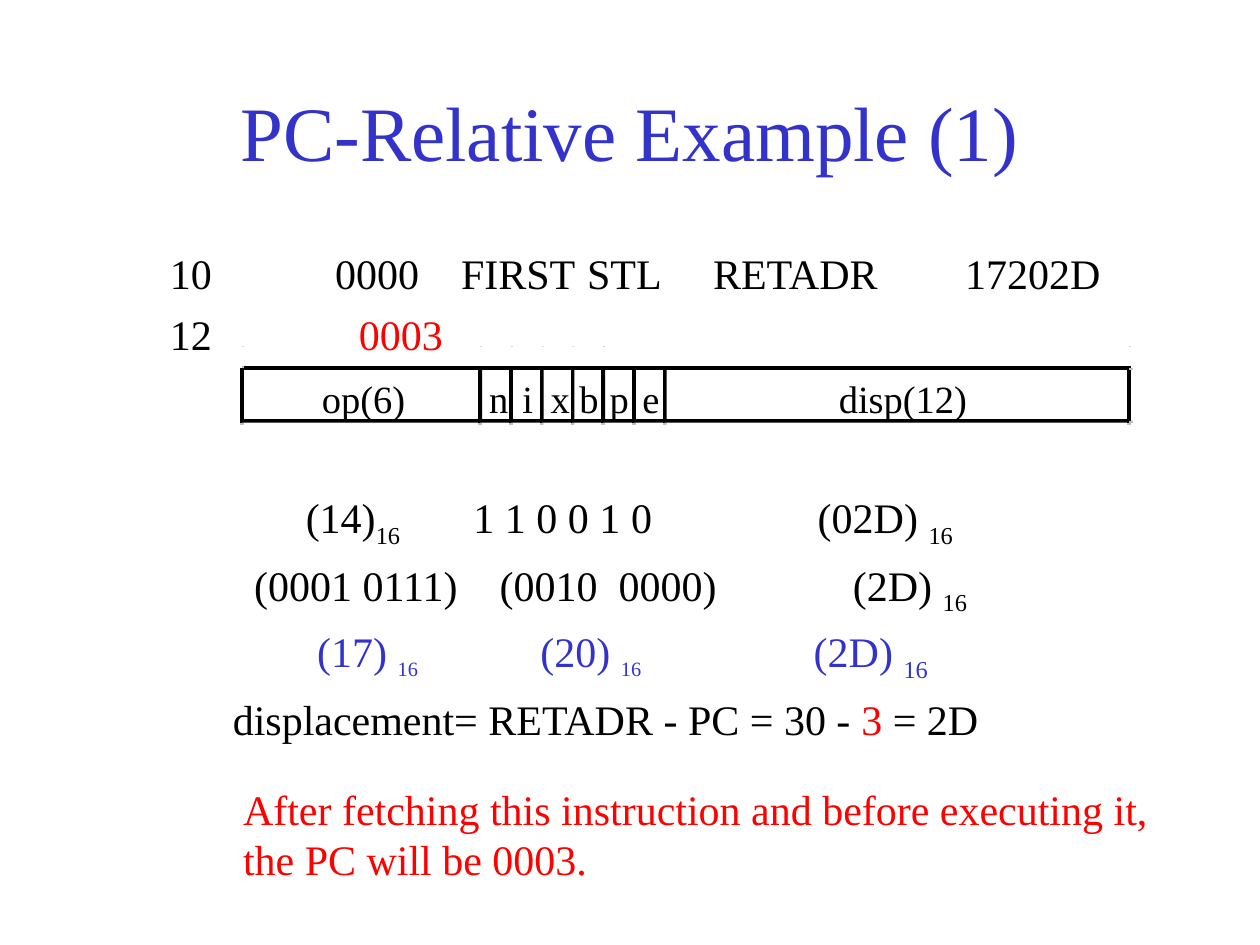
from lxml import etree
from pptx import Presentation
from pptx.dml.color import RGBColor
from pptx.enum.shapes import MSO_CONNECTOR, MSO_SHAPE
from pptx.enum.text import MSO_ANCHOR, MSO_AUTO_SIZE, PP_ALIGN
from pptx.oxml.ns import qn
from pptx.util import Cm, Pt

RECT, STRAIGHT = MSO_SHAPE.RECTANGLE, MSO_CONNECTOR.STRAIGHT
MIDDLE, TOP = MSO_ANCHOR.MIDDLE, MSO_ANCHOR.TOP
CENTER, LEFT = PP_ALIGN.CENTER, PP_ALIGN.LEFT
NO_FIT = MSO_AUTO_SIZE.NONE

FONT, LINE_FACTOR = "Times New Roman", 1.19
COLORS = {"blue": "3333CC", "black": "000000", "red": "FF0000", "gray": "C0C0C0"}

# Content
TITLE = "PC-Relative Example (1)"
# Each row: space before (pt), tab stops (cm), runs of (text, color, size, subscript)
ROWS = [
    (0, [1.27, 4.6, 7.14, 9.68, 12.22, 17.3],
     [("\t10\t0000\tFIRST\tSTL\tRETADR\t17202D", "black", 24, False)]),
    (6.2, [1.27, 5.08],
     [("\t12\t", "black", 24, False), ("0003", "red", 24, False)]),
    (80, [4.01, 7.39, 14.33],
     [("\t(14)", "black", 24, False), ("16", "black", 24, True),
      ("\t1 1 0 0 1 0\t(02D) ", "black", 24, False), ("16", "black", 24, True)]),
    (10, [2.97, 7.92, 15.04],
     [("\t(0001 0111)\t(0010  0000)\t(2D) ", "black", 24, False),
      ("16", "black", 24, True)]),
    (9.5, [4.24, 8.74, 14.25],
     [("\t(17) ", "blue", 24, False), ("16", "blue", 20, True),
      ("\t(20) ", "blue", 24, False), ("16", "blue", 20, True),
      ("\t(2D) ", "blue", 24, False), ("16", "blue", 24, True)]),
    (6, [2.54],
     [("\tdisplacement= RETADR - PC = 30 - ", "black", 24, False),
      ("3", "red", 24, False), (" = 2D", "black", 24, False)]),
]
# Field name, left and width in cm
FIELDS = [("op(6)", 6.49, 1.68), ("n", 9.86, 0.38), ("i", 10.53, 0.23),
          ("x", 11.1, 0.38), ("b", 11.68, 0.38), ("p", 12.29, 0.38),
          ("e", 12.95, 0.36), ("disp(12)", 16.91, 2.59)]
NOTE = ["After fetching this instruction and before executing it,",
        "the PC will be 0003."]

# Instruction format frame, in cm
X0, X1, BITS, BIT_STEP = 4.88, 22.76, 9.68, 0.62
Y0, Y1, STUB_Y, THICK = 7.42, 8.48, 6.98, 0.04
INNER = [BITS + i * BIT_STEP for i in range(7)]

prs = Presentation()
prs.slide_width, prs.slide_height = Cm(25.4), Cm(19.05)
# The body style has no hanging indent, so that the rows keep their own tab stops
for style in prs.slide_master.element.iter(qn("a:lvl1pPr")):
    style.attrib.pop("indent", None)
s = prs.slides.add_slide(prs.slide_layouts[1])


def rgb(name):
    return RGBColor.from_string(COLORS[name])


def place(sp, x, y, w, h):
    sp.left, sp.top, sp.width, sp.height = Cm(x), Cm(y), Cm(w), Cm(h)


def add_run(p, text, color, size, sub=False):
    r = p.add_run()
    r.text = text
    r.font.name, r.font.size = FONT, Pt(size)
    r.font.color.rgb = rgb(color)
    if sub:
        r._r.get_or_add_rPr().set("baseline", "-25000")


def set_line(p, size):
    p.line_spacing = Pt(round(size * LINE_FACTOR, 1))


def add_label(lines, x, y, w, h, color, size, inset=(0, 0)):
    tf = s.shapes.add_textbox(Cm(x), Cm(y), Cm(w), Cm(h)).text_frame
    tf.word_wrap = False
    tf.margin_left = tf.margin_right = Cm(inset[0])
    tf.margin_top = tf.margin_bottom = Cm(inset[1])
    for i, text in enumerate(lines):
        p = tf.add_paragraph() if i else tf.paragraphs[0]
        set_line(p, size)
        add_run(p, text, color, size)


def add_block(x, y, w, h, color):
    sp = s.shapes.add_shape(RECT, Cm(x), Cm(y), Cm(w), Cm(h))
    sp.shadow.inherit = False
    sp.fill.solid()
    sp.fill.fore_color.rgb = rgb(color)
    sp.line.fill.background()


def add_bar(x, y, w, h, color):
    """A filled bar with a hairline along its long side."""
    x2, y2 = (x + w, y) if w > h else (x, y + h)
    ln = s.shapes.add_connector(STRAIGHT, Cm(x), Cm(y), Cm(x2), Cm(y2))
    ln.line.color.rgb = rgb(color)
    ln.line.width = Pt(0)
    etree.SubElement(ln._element.spPr, qn("a:effectLst"))
    add_block(x, y, w, h, color)


# Title
sp = s.shapes.title
place(sp, 1.9, 1.06, 21.6, 3.18)
tf = sp.text_frame
tf.auto_size, tf.vertical_anchor = NO_FIT, MIDDLE
p = tf.paragraphs[0]
p.alignment = CENTER
set_line(p, 44)
add_run(p, TITLE, "blue", 44)

# Listing and working
sp = s.placeholders[1]
place(sp, 1.9, 4.87, 21.6, 12.07)
tf = sp.text_frame
tf.auto_size, tf.vertical_anchor = NO_FIT, TOP
for i, (before, stops, runs) in enumerate(ROWS):
    p = tf.add_paragraph() if i else tf.paragraphs[0]
    pPr = p._p.get_or_add_pPr()
    pPr.set("marL", "0")
    etree.SubElement(pPr, qn("a:buNone"))
    tabs = etree.SubElement(pPr, qn("a:tabLst"))
    for stop in stops:
        etree.SubElement(tabs, qn("a:tab"), pos=str(int(Cm(stop))), algn="l")
    p.alignment, p.space_before = LEFT, Pt(before)
    set_line(p, 24)
    for run in runs:
        add_run(p, *run)

# Gray marks above the frame and its gray underlay
for x in [X0, *INNER[:5], X1]:
    add_block(x, STUB_Y, THICK, 0.01, "gray")
add_bar(X0, Y0, X1 - X0 + THICK, THICK, "gray")

# Field names
for name, x, w in FIELDS:
    add_label([name], x, 7.56, w, 0.94, "black", 22)

# Black frame and dividers
for y in (Y0, Y1):
    add_bar(X0 + THICK, y, X1 - X0, THICK, "black")
add_bar(X0, Y0, THICK, 1.11, "black")
for x in [*INNER, X1]:
    add_bar(x, Y0 + THICK, THICK, 1.06, "black")

# Gray ends of the frame lines
for x in [X0, *INNER, X1]:
    add_bar(x, Y1 + THICK, THICK, THICK, "gray")
for y in (Y0, Y1):
    add_bar(X1 + THICK, y, THICK, THICK, "gray")

# Note
add_label(NOTE, 4.65, 15.67, 18.75, 2.29, "red", 24, inset=(0.25, 0.13))

prs.save("out.pptx")
